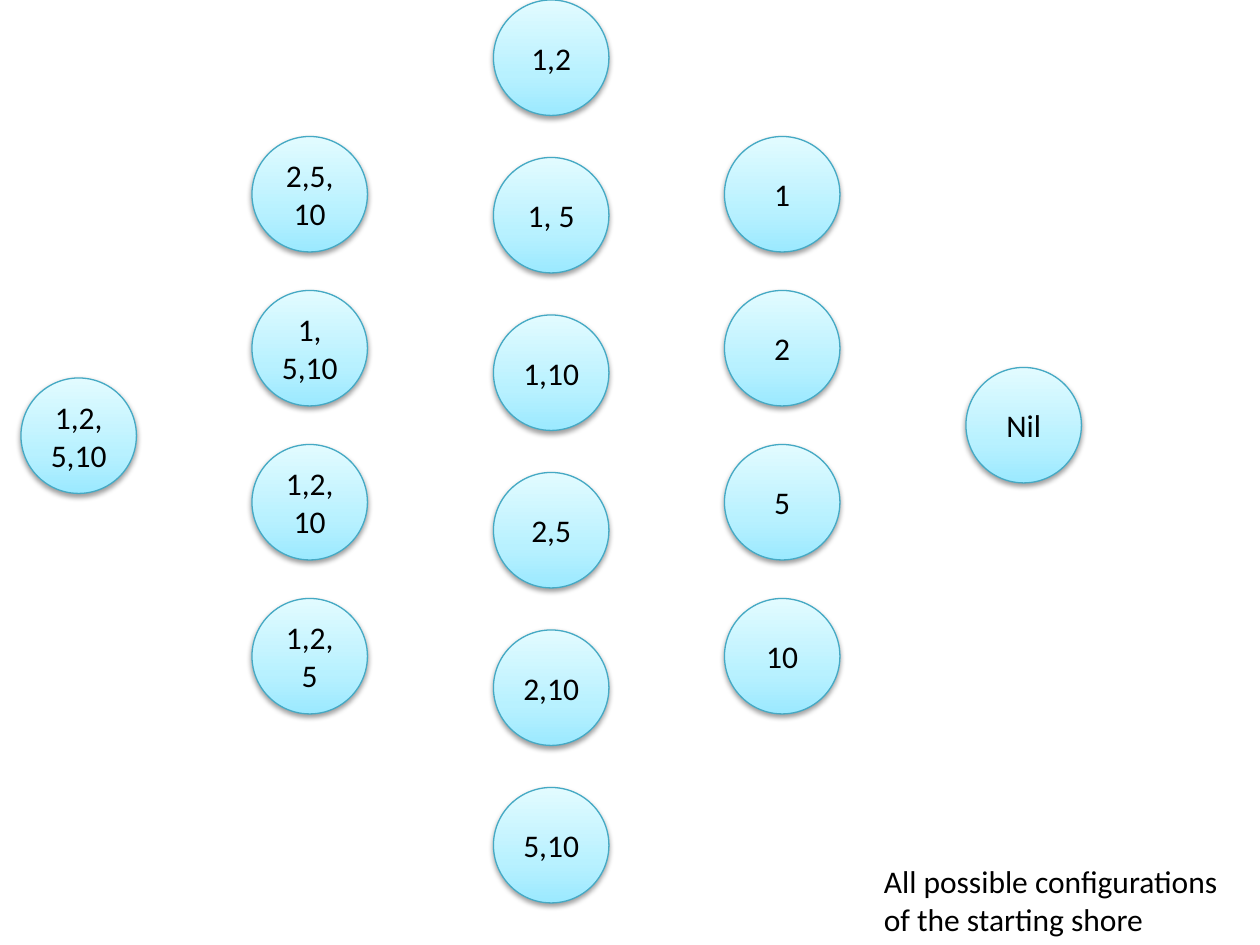
from pptx import Presentation
from pptx.dml.color import RGBColor as RGB
from pptx.enum.shapes import MSO_SHAPE as Shape
from pptx.enum.text import MSO_ANCHOR as Anchor, MSO_AUTO_SIZE as Fit, PP_ALIGN as Align
from pptx.oxml import parse_xml
from pptx.oxml.ns import nsdecls
from pptx.util import Pt

COLUMNS = [
    dict(left=12, top=216, step=0, sets=["1,2,5,10"]),
    dict(left=144, top=78, step=88, sets=["2,5,10", "1, 5,10", "1,2, 10", "1,2,5"]),
    dict(left=414, top=78, step=88, sets=["1", "2", "5", "10"]),
    dict(left=552, top=210, step=0, sets=["Nil"]),
    dict(left=282, top=0, step=90, sets=["1,2", "1, 5", "1,10", "2,5", "2,10", "5,10"]),
]
CAPTION = "All possible configurations of the starting shore"
CAPTION_BOX = (498, 489, 222, 51)
SIZE = 66

THEME = dict(
    font="Calibri", size=18, text="000000", line="45A9C4", width=0.75,
    stops=[(0, "9BE9FF"), (35, "B8F1FF"), (100, "E2FBFF")],
    shade=dict(color="000000", alpha=38, blur=3.1, dist=1.6),
)


def write(shape, text, align=Align.LEFT, anchor=Anchor.TOP, fit=Fit.NONE):
    frame = shape.text_frame
    frame.word_wrap = True
    frame.auto_size = fit
    frame.vertical_anchor = anchor
    par = frame.paragraphs[0]
    par.alignment = align
    run = par.add_run()
    run.text = text
    run.font.name = THEME["font"]
    run.font.size = Pt(THEME["size"])
    run.font.color.rgb = RGB.from_string(THEME["text"])


def paint(shape):
    shape.line.color.rgb = RGB.from_string(THEME["line"])
    shape.line.width = Pt(THEME["width"])
    stops = "".join(
        f'<a:gs pos="{pos * 1000}"><a:srgbClr val="{color}"/></a:gs>'
        for pos, color in THEME["stops"]
    )
    fill = parse_xml(
        f'<a:gradFill {nsdecls("a")} rotWithShape="1"><a:gsLst>{stops}</a:gsLst>'
        '<a:lin ang="16200000" scaled="0"/></a:gradFill>'
    )
    shade = THEME["shade"]
    effect = parse_xml(
        f'<a:effectLst {nsdecls("a")}><a:outerShdw blurRad="{Pt(shade["blur"])}" '
        f'dist="{Pt(shade["dist"])}" dir="5400000" rotWithShape="0">'
        f'<a:srgbClr val="{shade["color"]}"><a:alpha val="{shade["alpha"] * 1000}"/>'
        '</a:srgbClr></a:outerShdw></a:effectLst>'
    )
    props = shape.line._get_or_add_ln().getparent()
    props.prstGeom.addnext(fill)
    props.append(effect)


def main():
    deck = Presentation()
    deck.slide_width, deck.slide_height = Pt(720), Pt(540)
    shapes = deck.slides.add_slide(deck.slide_layouts[6]).shapes

    for col in COLUMNS:
        for row, text in enumerate(col["sets"]):
            top = col["top"] + row * col["step"]
            node = shapes.add_shape(Shape.OVAL, Pt(col["left"]), Pt(top), Pt(SIZE), Pt(SIZE))
            paint(node)
            write(node, text, align=Align.CENTER, anchor=Anchor.MIDDLE)

    label = shapes.add_textbox(*map(Pt, CAPTION_BOX))
    write(label, CAPTION, fit=Fit.SHAPE_TO_FIT_TEXT)
    deck.save("out.pptx")


if __name__ == "__main__":
    main()
